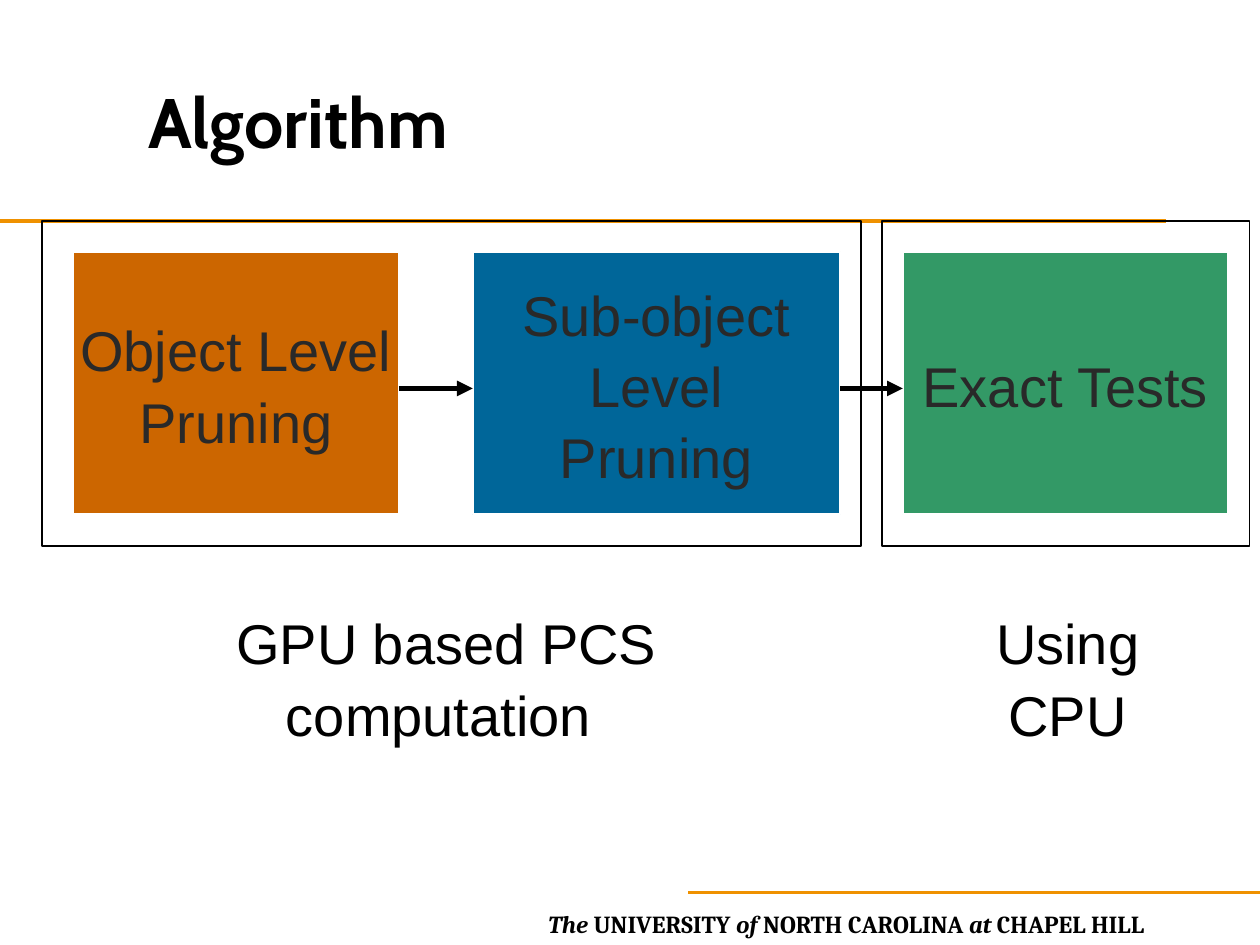
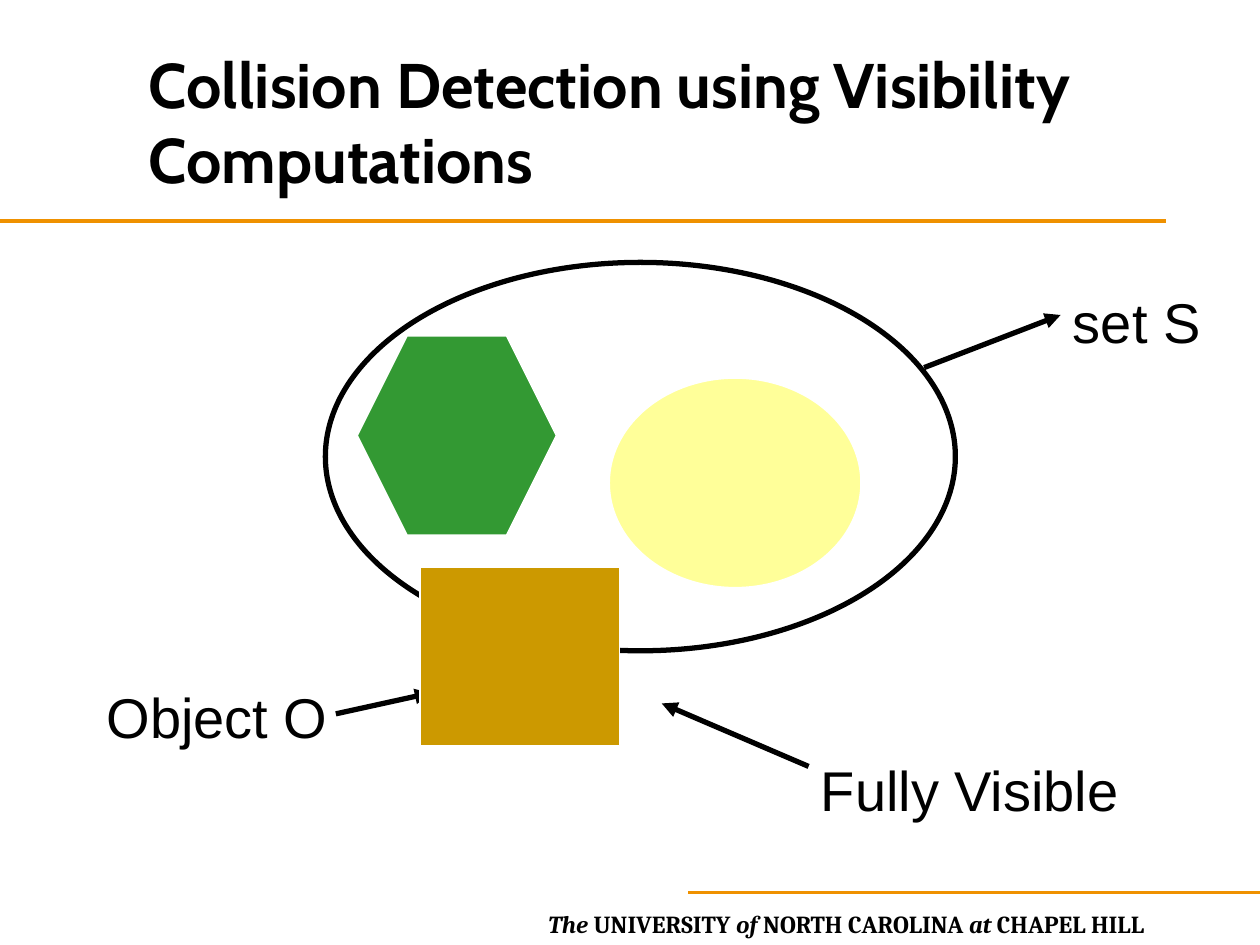
from itertools import pairwise

from lxml import etree
from pptx import Presentation
from pptx.dml.color import RGBColor
from pptx.enum.shapes import MSO_CONNECTOR, MSO_SHAPE
from pptx.enum.text import MSO_ANCHOR, PP_ALIGN
from pptx.oxml.ns import qn
from pptx.util import Cm, Pt

BLACK = RGBColor(0x00, 0x00, 0x00)
WHITE = RGBColor(0xFF, 0xFF, 0xFF)
CHARCOAL = RGBColor(0x29, 0x29, 0x29)
AMBER = RGBColor(0xEF, 0x91, 0x00)
ORANGE = RGBColor(0xCC, 0x66, 0x00)
BLUE = RGBColor(0x00, 0x66, 0x99)
SEA_GREEN = RGBColor(0x33, 0x99, 0x66)
GREEN = RGBColor(0x33, 0x99, 0x33)
YELLOW = RGBColor(0xFF, 0xFF, 0x99)
GOLD = RGBColor(0xCC, 0x99, 0x00)

FOOTER = ["The", " UNIVERSITY ", "of ", "NORTH CAROLINA ", "at ", "CHAPEL HILL"]


class Deck:
    title_font = "Cabin"
    body_font = "Arial"
    footer_font = "Cambria"
    body_size = 32

    def __init__(self):
        self.prs = Presentation()
        self.prs.slide_width = Cm(25.4)
        self.prs.slide_height = Cm(19.05)
        self.s = None

    def slide(self, title, title_size):
        self.s = self.prs.slides.add_slide(self.prs.slide_layouts[6])
        self.line((0, 4.45), (23.5, 4.45), AMBER, 2)
        self.footer()
        self.line((13.87, 17.99), (25.4, 17.99), AMBER, 2)
        tf = self.box(2.75, 1.27, 20.53, 2.33)
        tf.vertical_anchor = MSO_ANCHOR.MIDDLE
        p = tf.paragraphs[0]
        p.text = title
        self.font(p, self.title_font, title_size, BLACK, bold=True)

    def footer(self):
        p = self.box(10.8, 18.2, 14.6, 0.86).paragraphs[0]
        for i, words in enumerate(FOOTER):
            r = p.add_run()
            r.text = words
            r.font.italic = i % 2 == 0
        self.font(p, self.footer_font, 14, BLACK, bold=True)

    def box(self, x, y, w, h):
        tf = self.s.shapes.add_textbox(Cm(x), Cm(y), Cm(w), Cm(h)).text_frame
        tf.word_wrap = True
        return tf

    def font(self, p, name, size, color, bold=False):
        p.font.name = name
        p.font.size = Pt(size)
        p.font.bold = bold
        p.font.color.rgb = color

    def body(self, tf, text, color, align):
        p = tf.paragraphs[0]
        p.text = text
        p.alignment = align
        p.line_spacing = 1.06
        self.font(p, self.body_font, self.body_size, color)

    def label(self, text, x, y, w, h=1.62, align=PP_ALIGN.LEFT):
        self.body(self.box(x, y, w, h), text, BLACK, align)

    def shape(self, kind, x, y, w, h, fill=None, line=WHITE, width=1, text=None):
        sp = self.s.shapes.add_shape(kind, Cm(x), Cm(y), Cm(w), Cm(h))
        sp.shadow.inherit = False
        if fill is None:
            sp.fill.background()
        else:
            sp.fill.solid()
            sp.fill.fore_color.rgb = fill
        sp.line.color.rgb = line
        sp.line.width = Pt(width)
        if text:
            tf = sp.text_frame
            tf.word_wrap = False
            tf.vertical_anchor = MSO_ANCHOR.MIDDLE
            self.body(tf, text, CHARCOAL, PP_ALIGN.CENTER)
        return sp

    def line(self, start, end, color=BLACK, width=3):
        c = self.s.shapes.add_connector(
            MSO_CONNECTOR.STRAIGHT, *(Cm(v) for v in (*start, *end)))
        c.line.color.rgb = color
        c.line.width = Pt(width)
        etree.SubElement(c._element.spPr, qn("a:effectLst"))
        return c

    def arrow(self, start, end):
        ln = self.line(start, end).line._get_or_add_ln()
        etree.SubElement(ln, qn("a:tailEnd"), type="triangle")


def algorithm(deck):
    deck.slide("Algorithm", 40)
    top, height = 5.08, 5.29
    stages = [
        ("Object Level\nPruning", 1.48, 6.56, ORANGE),
        ("Sub-object\nLevel\nPruning", 9.53, 7.41, BLUE),
        ("Exact Tests", 18.2, 6.56, SEA_GREEN),
    ]
    for text, x, w, fill in stages:
        deck.shape(MSO_SHAPE.RECTANGLE, x, top, w, height, fill, text=text)
    for (_, x, w, _), (_, next_x, _, _) in pairwise(stages):
        deck.arrow((x + w, 7.83), (next_x, 7.83))

    processors = [
        ("GPU based PCS computation ", 0.85, 16.51, 3.6, 10.8),
        ("Using CPU", 17.78, 7.41, 18.49, 6.07),
    ]
    for text, x, w, text_x, text_w in processors:
        deck.shape(MSO_SHAPE.RECTANGLE, x, 4.45, w, 6.56, line=BLACK)
        deck.label(text, text_x, 12.07, text_w, 2.97, PP_ALIGN.CENTER)


def visibility(deck):
    deck.slide("Collision Detection using Visibility Computations", 36)
    deck.shape(MSO_SHAPE.OVAL, 6.56, 5.29, 12.7, 7.83, line=BLACK, width=3)
    deck.arrow((18.63, 7.41), (21.38, 6.35))
    deck.label("set S", 21.38, 5.59, 3.39)

    hexagon = deck.shape(MSO_SHAPE.HEXAGON, 7.2, 6.77, 4.02, 4.02, GREEN)
    hexagon.adjustments[0] = 0.25
    deck.shape(MSO_SHAPE.OVAL, 12.28, 7.62, 5.08, 4.23, YELLOW)

    deck.arrow((16.3, 15.45), (13.34, 14.18))
    deck.label("Fully Visible", 16.3, 15.03, 7.41)

    deck.arrow((6.77, 14.39), (8.68, 13.97))
    deck.shape(MSO_SHAPE.RECTANGLE, 8.47, 11.43, 4.02, 3.6, GOLD)
    deck.label("Object O", 1.9, 13.55, 5.72)


def main():
    deck = Deck()
    algorithm(deck)
    visibility(deck)
    deck.prs.save("out.pptx")


if __name__ == "__main__":
    main()
